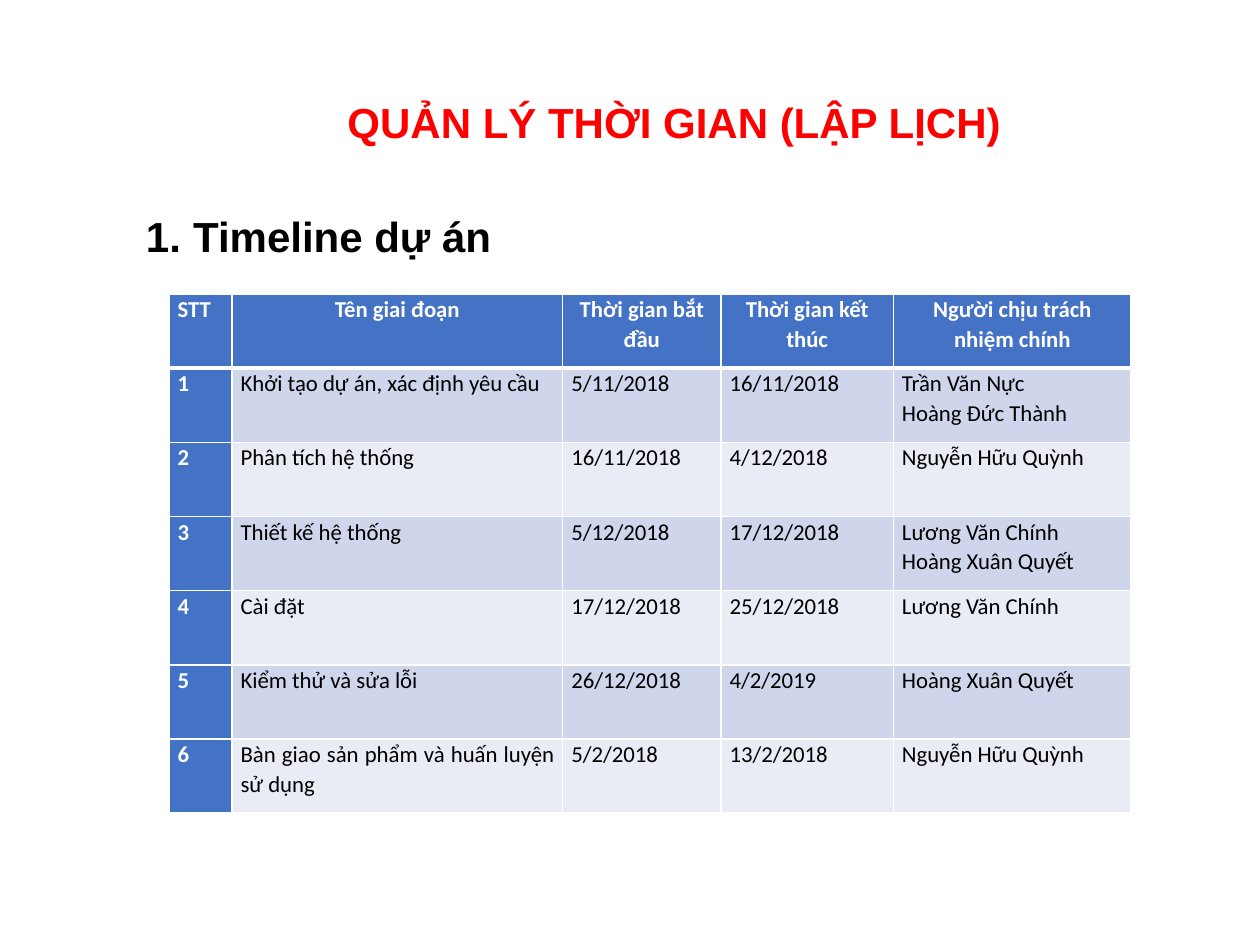
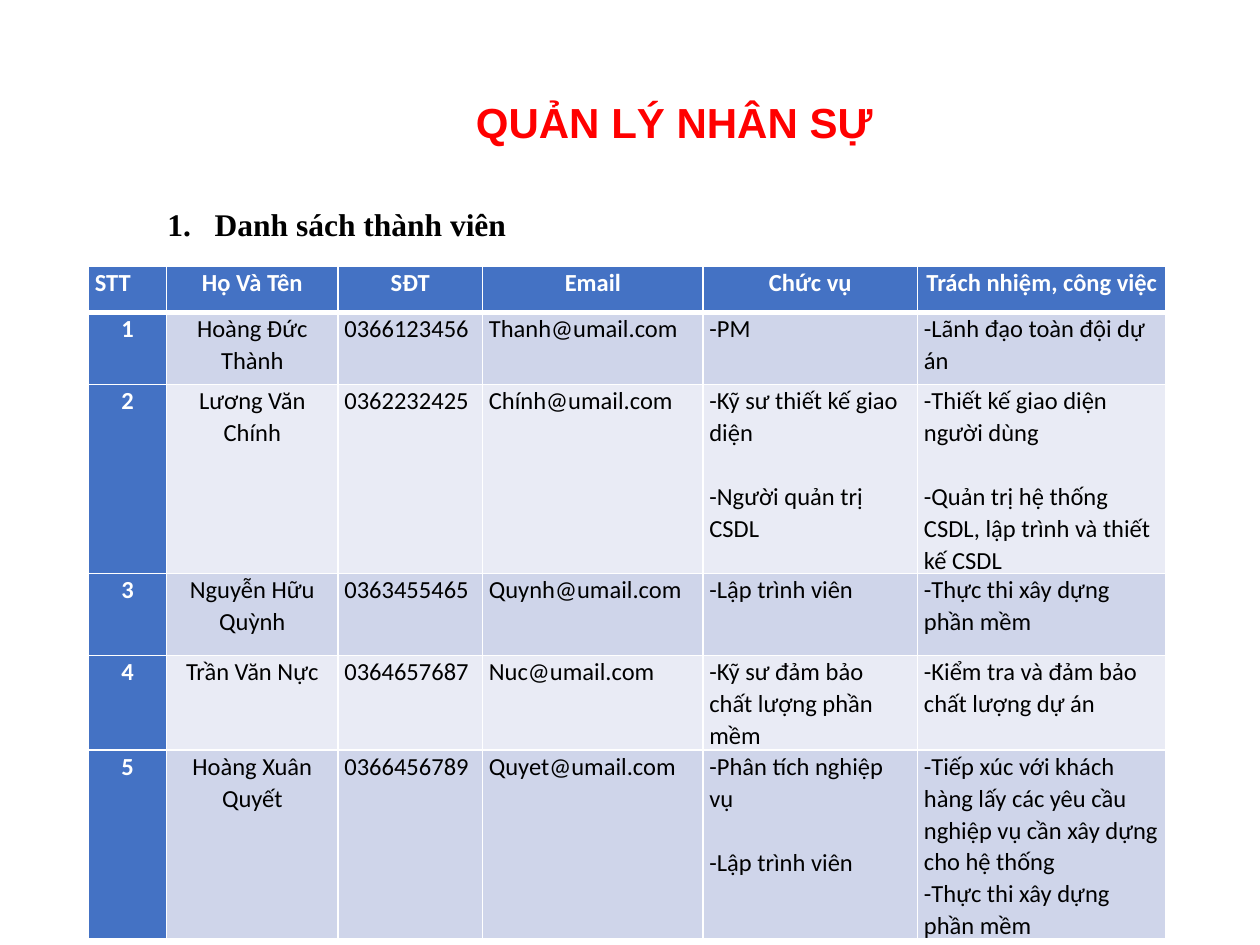
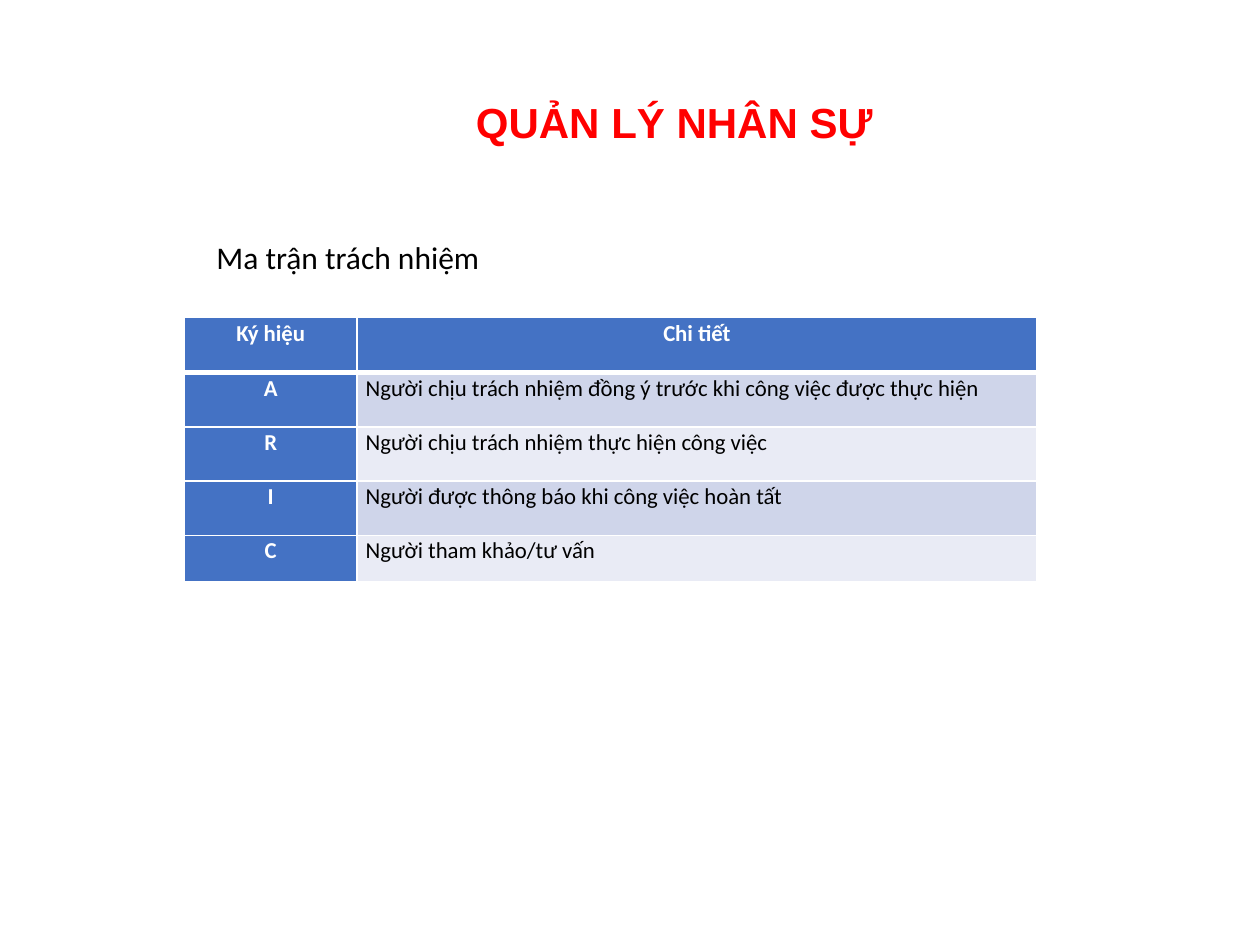
import pptx
import pptx.util
import pptx.dml.color
import pptx.enum.text
import pptx.oxml.ns
import lxml.etree

Pt = pptx.util.Pt
ALIGN = {
    "l": pptx.enum.text.PP_ALIGN.LEFT,
    "c": pptx.enum.text.PP_ALIGN.CENTER,
    "j": pptx.enum.text.PP_ALIGN.JUSTIFY,
}
COLORS = {
    "title": "FF0000",
    "text": "000000",
    "head": "4472C4",
    "odd": "CFD5EA",
    "even": "E9EBF5",
    "white": "FFFFFF",
}
TITLE_BOX = (124.6, 29.5, 521.3, 83.5)
CELL_SPACING = 1.07
GAP = "gap"  # marks one line of space before the next cell paragraph


def rgb(name):
    return pptx.dml.color.RGBColor.from_string(COLORS[name])


def sub(parent, tag, **attrs):
    return lxml.etree.SubElement(parent, pptx.oxml.ns.qn(tag), attrs)


def write(p, text, color, para=None, **font):
    """Put one run in a paragraph, with its paragraph and font formats."""
    for key, value in (para or {}).items():
        setattr(p, key, value)
    r = p.add_run()
    r.text = text
    for key, value in font.items():
        setattr(r.font, key, value)
    r.font.color.rgb = rgb(color)


def add_box(slide, box, **frame):
    tf = slide.shapes.add_textbox(*map(Pt, box)).text_frame
    for key, value in frame.items():
        setattr(tf, key, value)
    return tf


# Title shared by all slides
def add_title(slide, text):
    tf = add_box(slide, TITLE_BOX, word_wrap=True,
                 vertical_anchor=pptx.enum.text.MSO_ANCHOR.MIDDLE)
    write(tf.paragraphs[0], text, "title",
          {"alignment": ALIGN["c"], "line_spacing": 0.9},
          name="Arial", size=Pt(24), bold=True)


# Line above the table, numbered when asked
def add_heading(slide, box, text, para=None, numbered=False, **font):
    tf = add_box(slide, box, word_wrap=False,
                 auto_size=pptx.enum.text.MSO_AUTO_SIZE.SHAPE_TO_FIT_TEXT)
    p = tf.paragraphs[0]
    write(p, text, "text", para, **font)
    if numbered:
        pPr = p._p.get_or_add_pPr()
        pPr.set("marL", str(Pt(27)))
        pPr.set("indent", str(-Pt(27)))
        sub(pPr, "a:buFont", typeface="+mj-lt")
        sub(pPr, "a:buAutoNum", type="arabicPeriod")


def set_borders(cell, is_head):
    tcPr = cell._tc.get_or_add_tcPr()
    widths = {"a:lnL": 1, "a:lnR": 1, "a:lnT": 1, "a:lnB": 1}
    if is_head:
        widths["a:lnB"] = 3
    else:
        del widths["a:lnT"]  # the row above draws this edge
    for tag, width in widths.items():
        fill = sub(sub(tcPr, tag, w=str(Pt(width))), "a:solidFill")
        sub(fill, "a:srgbClr", val=COLORS["white"])


def fill_cell(cell, text, align, size, inset, fill, strong):
    cell.margin_left = cell.margin_right = Pt(inset)
    cell.margin_top = cell.margin_bottom = 0
    cell.fill.solid()
    cell.fill.fore_color.rgb = rgb(fill)
    tf = cell.text_frame
    p, before = tf.paragraphs[0], 0
    for i, line in enumerate([text] if isinstance(text, str) else text):
        if line == GAP:
            before = size * 1.22 * CELL_SPACING
            continue
        if i:
            p = tf.add_paragraph()
        write(p, line, "white" if strong else "text",
              {"alignment": ALIGN[align], "line_spacing": CELL_SPACING,
               "space_before": Pt(before)},
              name="Calibri", size=Pt(size), bold=strong)
        before = 0


# Banded table with a dark header row and first column
def add_grid(slide, left, top, cols, heights, rows, aligns, size, inset):
    table = slide.shapes.add_table(
        len(rows), len(cols), Pt(left), Pt(top),
        Pt(sum(cols)), Pt(sum(heights))).table
    table.horz_banding = False
    for col, width in zip(table.columns, cols):
        col.width = Pt(width)
    for row, height in zip(table.rows, heights):
        row.height = Pt(height)
    for r, row in enumerate(rows):
        for c, text in enumerate(row):
            cell = table.cell(r, c)
            strong = r == 0 or c == 0
            fill = "head" if strong else "odd" if r % 2 else "even"
            set_borders(cell, r == 0)
            fill_cell(cell, text, aligns[min(r, 1)][c], size, inset, fill, strong)


def timeline_slide(slide):
    add_title(slide, "QUẢN LÝ THỜI GIAN (LẬP LỊCH)")
    add_heading(slide, (76.3, 112.3, 213.8, 38.2), "Timeline dự án",
                {"line_spacing": 1.15, "space_after": Pt(8)}, numbered=True,
                name="Arial", size=Pt(24), bold=True)
    rows = [
        ("STT", "Tên giai đoạn", "Thời gian bắt đầu", "Thời gian kết thúc",
         "Người chịu trách nhiệm chính"),
        ("1", "Khởi tạo dự án, xác định yêu cầu", "5/11/2018", "16/11/2018",
         ["Trần Văn Nực", "Hoàng Đức Thành"]),
        ("2", "Phân tích hệ thống", "16/11/2018", "4/12/2018", "Nguyễn Hữu Quỳnh"),
        ("3", "Thiết kế hệ thống", "5/12/2018", "17/12/2018",
         ["Lương Văn Chính", "Hoàng Xuân Quyết"]),
        ("4", "Cài đặt", "17/12/2018", "25/12/2018", "Lương Văn Chính"),
        ("5", "Kiểm thử và sửa lỗi", "26/12/2018", "4/2/2019", "Hoàng Xuân Quyết"),
        ("6", "Bàn giao sản phẩm và huấn luyện sử dụng", "5/2/2018", "13/2/2018",
         "Nguyễn Hữu Quỳnh"),
    ]
    add_grid(slide, 96.5, 168, (36, 189, 90.5, 98.5, 136), [42.4] * len(rows),
             rows, ("jcccc", "jjjjj"), size=13, inset=5)


def members_slide(slide):
    add_title(slide, "QUẢN LÝ NHÂN SỰ")
    add_heading(slide, (88.6, 112.3, 210.2, 29.5), "Danh sách thành viên",
                {"line_spacing": 1.07, "space_after": Pt(8)}, numbered=True,
                name="Times New Roman", size=Pt(18), bold=True)
    rows = [
        ("STT", "Họ Và Tên", "SĐT", "Email", "Chức vụ", "Trách nhiệm, công việc"),
        ("1", "Hoàng Đức Thành", "0366123456", "Thanh@umail.com", "-PM",
         "-Lãnh đạo toàn đội dự án"),
        ("2", "Lương Văn Chính", "0362232425", "Chính@umail.com",
         ["-Kỹ sư thiết kế giao diện", GAP, "-Người quản trị CSDL"],
         ["-Thiết kế giao diện người dùng", GAP,
          "-Quản trị hệ thống CSDL, lập trình và thiết kế CSDL"]),
        ("3", "Nguyễn Hữu Quỳnh", "0363455465", "Quynh@umail.com",
         "-Lập trình viên", "-Thực thi xây dựng phần mềm"),
        ("4", "Trần Văn Nực", "0364657687", "Nuc@umail.com",
         "-Kỹ sư đảm bảo chất lượng phần mềm",
         "-Kiểm tra và đảm bảo chất lượng dự án"),
        ("5", "Hoàng Xuân Quyết", "0366456789", "Quyet@umail.com",
         ["-Phân tích nghiệp vụ", GAP, "-Lập trình viên"],
         ["-Tiếp xúc với khách hàng lấy các yêu cầu nghiệp vụ cần xây dựng "
          "cho hệ thống", "-Thực thi xây dựng phần mềm"]),
    ]
    add_grid(slide, 50.6, 152, (44.6, 98, 82.6, 126, 122.6, 142),
             (26.6, 41, 81.4, 46.8, 53.3, 93.6), rows,
             ("lccccc", "ccllll"), size=14, inset=3.6)


def matrix_slide(slide):
    rows = [
        ("Ký hiệu", "Chi tiết"),
        ("A", "Người chịu trách nhiệm đồng ý trước khi công việc được thực hiện"),
        ("R", "Người chịu trách nhiệm thực hiện công việc"),
        ("I", "Người được thông báo khi công việc hoàn tất"),
        ("C", "Người tham khảo/tư vấn"),
    ]
    add_grid(slide, 105.4, 181.5, (98.6, 388.5), (31.5, 31, 31, 31, 26.6),
             rows, ("cc", "cl"), size=13, inset=5)
    add_title(slide, "QUẢN LÝ NHÂN SỰ")
    add_heading(slide, (116.6, 132.5, 166.3, 29), "Ma trận trách nhiệm",
                name="Calibri", size=Pt(18))


prs = pptx.Presentation()
prs.slide_width, prs.slide_height = Pt(720), Pt(540)
for build in (timeline_slide, members_slide, matrix_slide):
    build(prs.slides.add_slide(prs.slide_layouts[6]))
prs.save("out.pptx")
